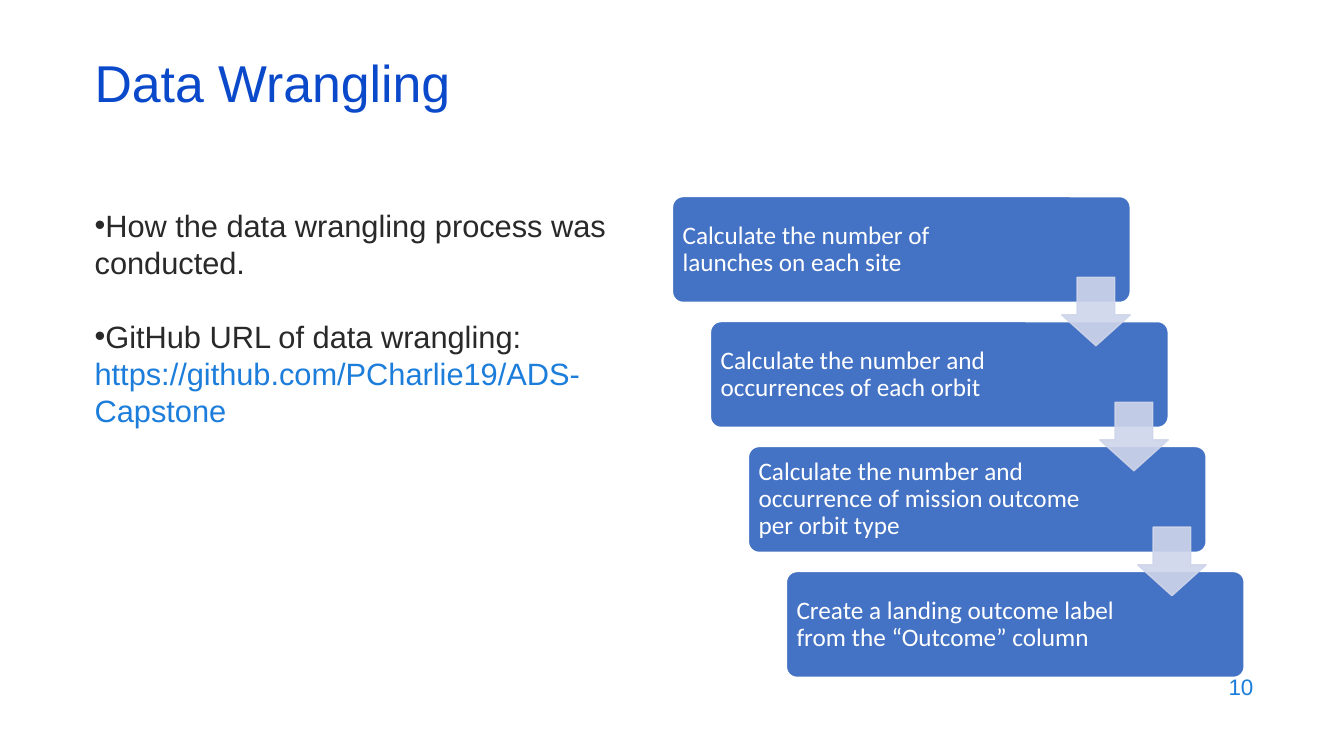
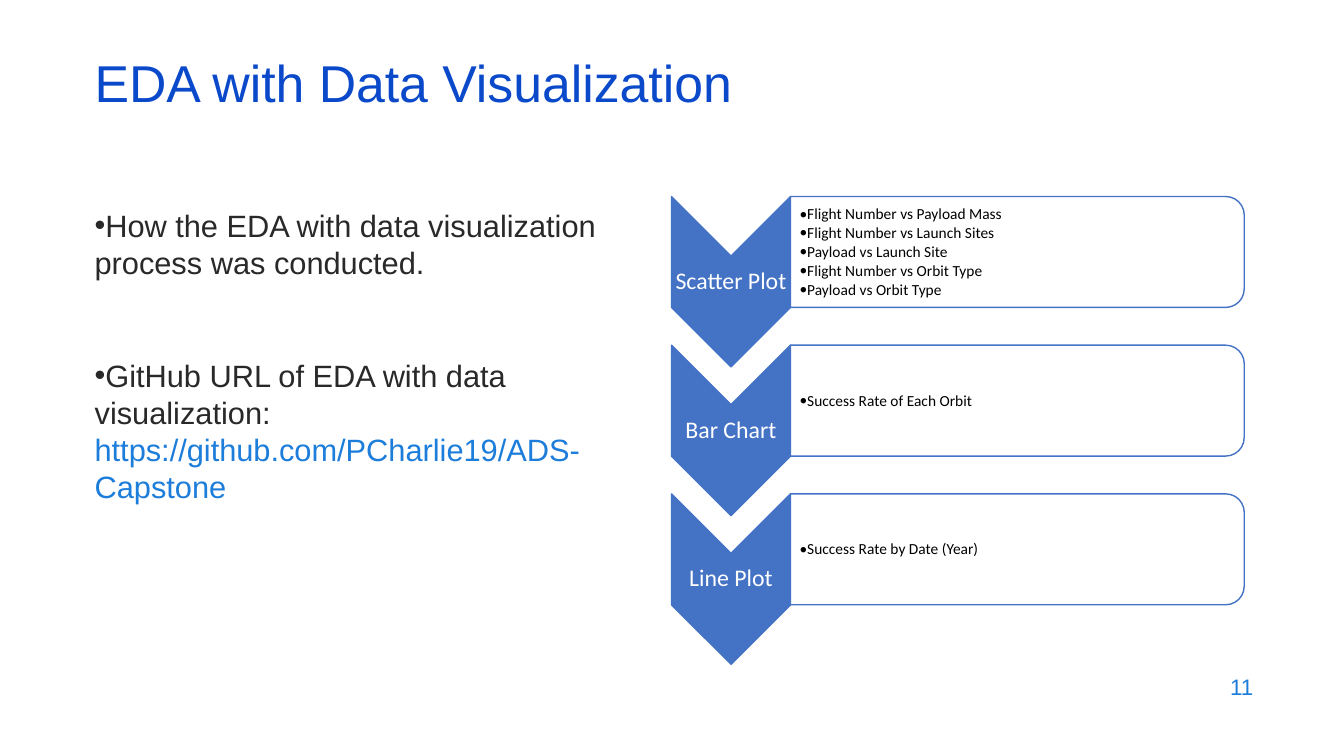
from dataclasses import dataclass
from typing import Any

from lxml import etree
from pptx import Presentation
from pptx import util as u
from pptx.dml.color import RGBColor
from pptx.enum import shapes, text
from pptx.oxml import ns

TITLE_BLUE = RGBColor(0x0B, 0x49, 0xCB)
LINK_BLUE = RGBColor(0x1C, 0x7D, 0xDB)
BODY_GRAY = RGBColor(0x29, 0x29, 0x29)
DIAGRAM_BLUE = RGBColor(0x44, 0x72, 0xC4)
ARROW_BLUE = RGBColor(0xCF, 0xD5, 0xEA)
WHITE = RGBColor(0xFF, 0xFF, 0xFF)
BLACK = RGBColor(0x00, 0x00, 0x00)

REPOSITORY = "https://github.com/PCharlie19/ADS-Capstone"
LEFT, CENTER, RIGHT = text.PP_ALIGN.LEFT, text.PP_ALIGN.CENTER, text.PP_ALIGN.RIGHT


@dataclass(frozen=True)
class Box:
    left: float
    top: float
    width: float
    height: float

    def lengths(self) -> list[u.Length]:
        return [u.Inches(value) for value in (self.left, self.top, self.width, self.height)]


@dataclass(frozen=True)
class Style:
    font: dict[str, Any]
    color: RGBColor
    paragraph: dict[str, Any]
    margins: tuple[float, float, float, float] = (0.1, 0.05, 0.1, 0.05)
    anchor: Any = text.MSO_ANCHOR.MIDDLE
    bullet_indent: float | None = None


@dataclass(frozen=True)
class Page:
    title: str
    number: str
    topic: str
    link_label: str
    topic_gap: float


@dataclass(frozen=True)
class PlotGroup:
    name: str
    charts: tuple[str, ...]


def font_format(name: str, size: float) -> dict[str, Any]:
    return {"name": name, "size": u.Pt(size)}


TITLE = Style(font_format("Arial", 37), TITLE_BLUE, {"line_spacing": 0.7})
NUMBER = Style(font_format("Arial", 16), LINK_BLUE, {"alignment": RIGHT})
BODY = Style(font_format("Arial", 22), BODY_GRAY, {"line_spacing": u.Pt(26.4)},
             anchor=text.MSO_ANCHOR.TOP, bullet_indent=0)
STEP = Style(font_format("Calibri", 18), WHITE, {"alignment": LEFT, "line_spacing": 0.9},
             (0.07, 0.1, 1.16, 0.1))
PLOT_NAME = Style(font_format("Calibri", 17), WHITE,
                  {"alignment": CENTER, "line_spacing": 0.9}, (0.01,) * 4)
CHART_LIST = Style(font_format("Calibri", 11), BLACK,
                   {"line_spacing": 0.9, "space_after": u.Pt(1.65)},
                   (0.09, 0.01, 0.01, 0.01), bullet_indent=0.06)

WRANGLING = Page("Data Wrangling", "10", "How the data wrangling process was conducted.",
                 "GitHub URL of data wrangling: ", 26.4)
VISUALIZATION = Page("EDA with Data Visualization", "11",
                     "How the EDA with data visualization process was conducted.",
                     "GitHub URL of EDA with data visualization: ", 54.5)

STEPS = (
    "Calculate the number of launches on each site",
    "Calculate the number and occurrences of each orbit",
    "Calculate the number and occurrence of mission outcome per orbit type",
    "Create a landing outcome label from the “Outcome” column",
)
PLOT_GROUPS = (
    PlotGroup("Scatter Plot", (
        "Flight Number vs Payload Mass",
        "Flight Number vs Launch Sites",
        "Payload vs Launch Site",
        "Flight Number vs Orbit Type",
        "Payload vs Orbit Type",
    )),
    PlotGroup("Bar Chart", ("Success Rate of Each Orbit",)),
    PlotGroup("Line Plot", ("Success Rate by Date (Year)",)),
)


def apply(target: Any, values: dict[str, Any]) -> None:
    for name, value in values.items():
        setattr(target, name, value)


def add_bullet(paragraph: Any, indent: float, font_name: str) -> None:
    properties = paragraph._p.get_or_add_pPr()
    properties.set("marL", str(u.Inches(indent)))
    properties.set("indent", str(-u.Inches(indent)))
    etree.SubElement(properties, ns.qn("a:buFont")).set("typeface", font_name)
    etree.SubElement(properties, ns.qn("a:buChar")).set("char", "•")


def add_run(paragraph: Any, words: str, style: Style, color: RGBColor | None = None) -> None:
    run = paragraph.add_run()
    run.text = words
    apply(run.font, style.font)
    run.font.color.rgb = color or style.color


def write(shape: Any, lines: tuple[str, ...], style: Style) -> None:
    frame = shape.text_frame
    sides = ("margin_left", "margin_top", "margin_right", "margin_bottom")
    margins = {side: u.Inches(value) for side, value in zip(sides, style.margins)}
    apply(frame, {"word_wrap": True, "vertical_anchor": style.anchor, **margins})
    for index, line in enumerate(lines):
        paragraph = frame.add_paragraph() if index else frame.paragraphs[0]
        if style.bullet_indent is not None:
            add_bullet(paragraph, style.bullet_indent, style.font["name"])
        apply(paragraph, style.paragraph)
        add_run(paragraph, line, style)


def add_text(slide: Any, box: Box, lines: tuple[str, ...], style: Style) -> Any:
    shape = slide.shapes.add_textbox(*box.lengths())
    write(shape, lines, style)
    return shape


def add_shape(slide: Any, kind: Any, box: Box, fill: RGBColor, line: RGBColor,
              adjustments: tuple[float, ...] = (), rotation: float = 0) -> Any:
    shape = slide.shapes.add_shape(kind, *box.lengths())
    shape.shadow.inherit = False
    shape.rotation = rotation
    shape.fill.solid()
    shape.fill.fore_color.rgb = fill
    shape.line.color.rgb = line
    shape.line.width = u.Pt(1)
    for index, value in enumerate(adjustments):
        shape.adjustments[index] = value
    return shape


def set_opacity(shape: Any, percent: int) -> None:
    for color in shape._element.spPr.iter(ns.qn("a:srgbClr")):
        etree.SubElement(color, ns.qn("a:alpha")).set("val", str(percent * 1000))


def add_page(presentation: Any, page: Page) -> Any:
    slide = presentation.slides.add_slide(presentation.slide_layouts[6])
    add_text(slide, Box(9.53, 6.59, 3, 0.44), (page.number,), NUMBER)
    body = add_text(slide, Box(0.84, 2, 5.82, 4.76), (page.topic, page.link_label), BODY)
    link = body.text_frame.paragraphs[1]
    link.space_before = u.Pt(page.topic_gap)
    add_run(link, REPOSITORY, BODY, LINK_BLUE)
    add_text(slide, Box(0.84, 0.59, 11.5, 0.6), (page.title,), TITLE)
    return slide


def draw_steps(slide: Any) -> None:
    area = Box(6.67, 1.95, 5.67, 4.77)
    width, height, arrow_size = 4.54, 1.05, 0.68
    gaps = len(STEPS) - 1
    boxes = [Box(area.left + index * (area.width - width) / gaps,
                 area.top + index * (area.height - height) / gaps, width, height)
             for index in range(len(STEPS))]
    for box, step in zip(boxes, STEPS):
        shape = add_shape(slide, shapes.MSO_SHAPE.ROUNDED_RECTANGLE, box,
                          DIAGRAM_BLUE, WHITE, (0.1,))
        write(shape, (step,), STEP)
    for box in boxes[:-1]:
        place = Box(box.left + width - arrow_size, box.top + 0.8, arrow_size, arrow_size)
        arrow = add_shape(slide, shapes.MSO_SHAPE.DOWN_ARROW, place,
                          ARROW_BLUE, ARROW_BLUE, (0.55, 0.45))
        set_opacity(arrow, 90)


def turned(box: Box) -> Box:
    return Box(box.left + (box.width - box.height) / 2,
               box.top + (box.height - box.width) / 2, box.height, box.width)


def draw_plot_groups(slide: Any) -> None:
    left, name_width = 6.66, 1.18
    list_left = left + name_width
    for index, group in enumerate(PLOT_GROUPS):
        top = 1.95 + index * 1.475
        add_shape(slide, shapes.MSO_SHAPE.CHEVRON, turned(Box(left, top, name_width, 1.69)),
                  DIAGRAM_BLUE, DIAGRAM_BLUE, rotation=90)
        add_text(slide, Box(left, top + 0.59, name_width, 0.51), (group.name,), PLOT_NAME)
        add_shape(slide, shapes.MSO_SHAPE.ROUND_2_SAME_RECTANGLE,
                  turned(Box(list_left, top, 4.5, 1.1)), WHITE, DIAGRAM_BLUE, rotation=90)
        add_text(slide, Box(list_left, top + 0.06, 4.44, 0.99), group.charts, CHART_LIST)


def main() -> None:
    presentation = Presentation()
    apply(presentation, {"slide_width": u.Inches(13.33), "slide_height": u.Inches(7.5)})
    draw_steps(add_page(presentation, WRANGLING))
    draw_plot_groups(add_page(presentation, VISUALIZATION))
    presentation.save("out.pptx")


if __name__ == "__main__":
    main()
